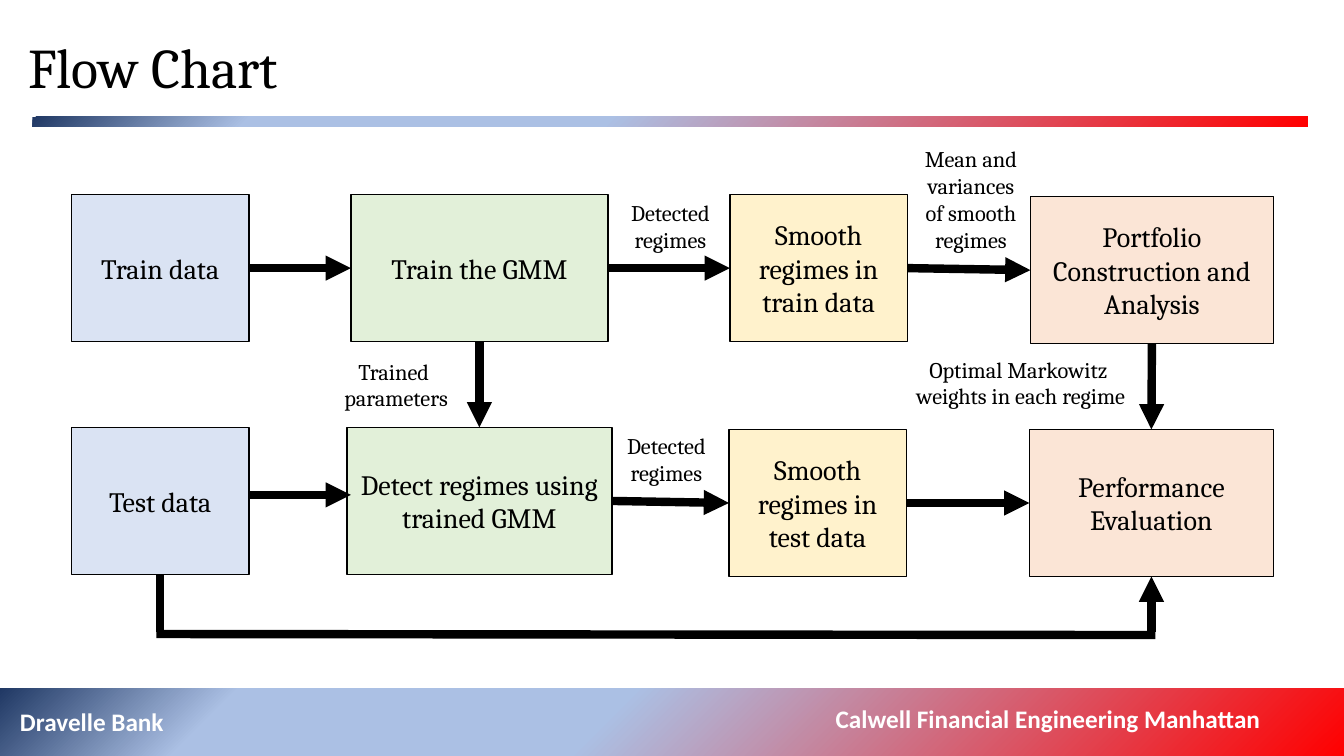
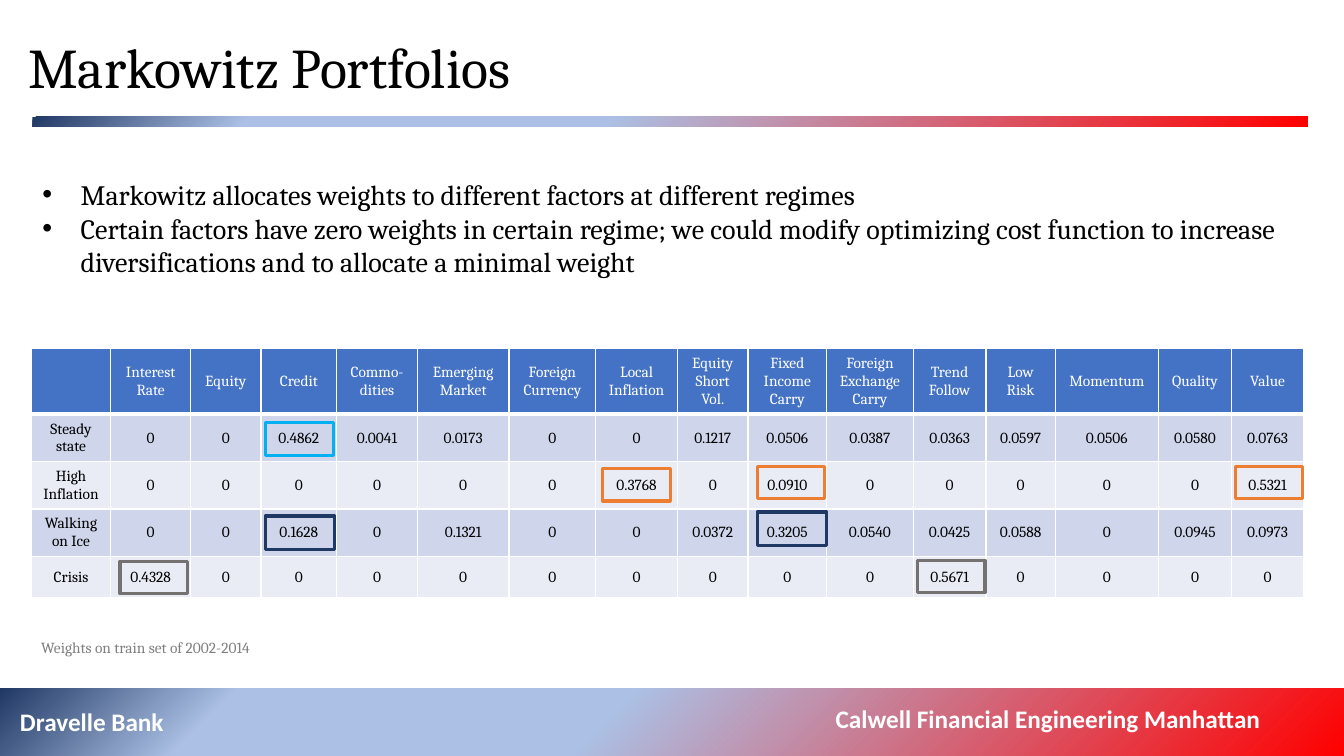
"""Build a flow chart slide and a portfolio weights slide with a shared frame."""
import dataclasses

import pptx
import pptx.dml.color
import pptx.enum.shapes
import pptx.enum.text
import pptx.oxml
import pptx.oxml.ns
import pptx.util
from lxml import etree

PX = 9144
ALIGN = pptx.enum.text.PP_ALIGN
qn = pptx.oxml.ns.qn


@dataclasses.dataclass(frozen=True)
class Theme:
    serif: str = "Cambria"
    sans: str = "Calibri"
    black: str = "000000"
    white: str = "FFFFFF"
    grey_text: str = "808080"
    blue_box: str = "DAE3F3"
    green_box: str = "E2F0D9"
    yellow_box: str = "FFF2CC"
    peach_box: str = "FBE5D6"
    header: str = "4472C4"
    stripes: tuple = ("E9EBF5", "CFD5EA")
    orange: str = "ED7D31"
    cyan: str = "00B0F0"
    navy: str = "203864"
    grey: str = "767171"
    band: tuple = ((0, "FF0000"), (55, "ABC0E4"), (83, "ABC0E4"), (100, "203864"))
    title_size: int = 40
    body_size: int = 20
    footer_size: int = 18
    label_size: int = 16
    small_size: int = 11


theme = Theme()


def write(frame, lines, size, colour=theme.black, align=ALIGN.LEFT, font=theme.serif, bold=False):
    for number, line in enumerate(lines):
        para = frame.add_paragraph() if number else frame.paragraphs[0]
        para.alignment = align
        para.space_before = pptx.util.Pt(0)
        span = para.add_run()
        span.text = line
        span.font.name = font
        span.font.size = pptx.util.Pt(size)
        span.font.bold = bold
        span.font.color.rgb = pptx.dml.color.RGBColor.from_string(colour)


def add_box(page, place, fill=None, line=None, width=1):
    box = page.shapes.add_shape(
        pptx.enum.shapes.MSO_SHAPE.RECTANGLE, *[value * PX for value in place]
    )
    box.shadow.inherit = False
    for paint, colour in ((box.fill, fill), (box.line.fill, line)):
        if colour:
            paint.solid()
            paint.fore_color.rgb = pptx.dml.color.RGBColor.from_string(colour)
        else:
            paint.background()
    if line:
        box.line.width = pptx.util.Pt(width)
    return box


deck = pptx.Presentation()
deck.slide_width = 1333 * PX
deck.slide_height = 750 * PX

stops = "".join(
    f'<a:gs pos="{position * 1000}"><a:srgbClr val="{colour}"/></a:gs>'
    for position, colour in theme.band
)
gradient = (
    f'<a:gradFill {pptx.oxml.ns.nsdecls("a")} rotWithShape="1"><a:gsLst>{stops}</a:gsLst>'
    '<a:path path="circle"><a:fillToRect l="100000" t="100000"/></a:path></a:gradFill>'
)

pages = []
for title, layout in (("Flow Chart", 5), ("Markowitz Portfolios", 1)):
    page = deck.slides.add_slide(deck.slide_layouts[layout])
    pages.append(page)
    heading = page.shapes.title
    heading.left, heading.top, heading.width, heading.height = (
        value * PX for value in (18, 27, 1297, 77)
    )
    heading.text_frame.vertical_anchor = pptx.enum.text.MSO_ANCHOR.TOP
    heading.text_frame.auto_size = pptx.enum.text.MSO_AUTO_SIZE.NONE
    write(heading.text_frame, [title], theme.title_size)
    for place in ((32, 116, 1265, 10), (0, 683, 1333, 67)):
        properties = add_box(page, place).element.spPr
        properties.replace(properties.find(qn("a:noFill")), pptx.oxml.parse_xml(gradient))
    for text, place in (
        ("Dravelle Bank", (10, 696, 176, 40)),
        ("Calwell Financial Engineering Manhattan", (819, 693, 444, 40)),
    ):
        footer = page.shapes.add_textbox(*[value * PX for value in place])
        footer.text_frame.word_wrap = False
        write(footer.text_frame, [text], theme.footer_size, theme.white, font=theme.sans, bold=True)

flow_page, weights_page = pages

steps = {}
for text, place, colour in (
    ("Train data", (71, 193, 176, 146), theme.blue_box),
    ("Test data", (71, 424, 176, 146), theme.blue_box),
    ("Train the GMM", (348, 193, 255, 146), theme.green_box),
    ("Detect regimes using trained GMM", (344, 424, 263, 146), theme.green_box),
    ("Smooth regimes in train data", (724, 193, 176, 146), theme.yellow_box),
    ("Smooth regimes in test data", (723, 426, 176, 146), theme.yellow_box),
    ("Portfolio Construction and Analysis", (1022, 195, 241, 146), theme.peach_box),
    ("Performance Evaluation", (1021, 426, 242, 146), theme.peach_box),
):
    steps[text] = add_box(flow_page, place, colour, theme.black)
    write(steps[text].text_frame, [text], theme.body_size, align=ALIGN.CENTER)

TOP, LEFT, BOTTOM, RIGHT = range(4)
for start, end, has_head in (
    (("Train data", RIGHT), ("Train the GMM", LEFT), True),
    (("Train the GMM", RIGHT), ("Smooth regimes in train data", LEFT), True),
    (("Smooth regimes in train data", RIGHT), ("Portfolio Construction and Analysis", LEFT), True),
    (("Train the GMM", BOTTOM), ("Detect regimes using trained GMM", TOP), True),
    (("Portfolio Construction and Analysis", BOTTOM), ("Performance Evaluation", TOP), True),
    ((247, 491), (348, 491), True),
    (("Detect regimes using trained GMM", RIGHT), ("Smooth regimes in test data", LEFT), True),
    (("Smooth regimes in test data", RIGHT), ("Performance Evaluation", LEFT), True),
    (("Test data", BOTTOM), (159, 627), False),
    ((155, 629), (1146, 630), False),
    ((1142, 627), ("Performance Evaluation", BOTTOM), True),
):
    points = [(0, 0) if isinstance(point[0], str) else point for point in (start, end)]
    connector = flow_page.shapes.add_connector(
        pptx.enum.shapes.MSO_CONNECTOR.STRAIGHT,
        *[value * PX for point in points for value in point],
    )
    for point, join in ((start, connector.begin_connect), (end, connector.end_connect)):
        if isinstance(point[0], str):
            join(steps[point[0]], point[1])
    connector.line.width = pptx.util.Pt(6)
    connector.line.color.rgb = pptx.dml.color.RGBColor.from_string(theme.black)
    properties = connector.element.spPr
    if has_head:
        etree.SubElement(properties.find(qn("a:ln")), qn("a:tailEnd"), type="triangle")
    etree.SubElement(properties, qn("a:effectLst"))

for lines, place in (
    (["Trained ", "parameters"], (328, 350, 130, 64)),
    (["Optimal Markowitz ", "weights in each regime"], (893, 348, 239, 64)),
    (["Detected regimes"], (607, 193, 116, 64)),
    (["Detected regimes"], (603, 424, 116, 64)),
    (["Mean and variances of smooth regimes"], (905, 139, 116, 118)),
):
    label = flow_page.shapes.add_textbox(*[value * PX for value in place])
    label.text_frame.word_wrap = len(lines) == 1
    write(label.text_frame, lines, theme.label_size, align=ALIGN.CENTER)

body = weights_page.placeholders[1]
body.left, body.top, body.width, body.height = (value * PX for value in (32, 171, 1283, 111))
body.text_frame.auto_size = pptx.enum.text.MSO_AUTO_SIZE.NONE
write(
    body.text_frame,
    [
        "Markowitz allocates weights to different factors at different regimes",
        "Certain factors have zero weights in certain regime; we could modify optimizing "
        "cost function to increase diversifications and to allocate a minimal weight",
    ],
    theme.body_size,
)
for para in body.text_frame.paragraphs:
    settings = para._p.get_or_add_pPr()
    settings.set("marL", str(38 * PX))
    settings.set("indent", str(-38 * PX))

note = weights_page.shapes.add_textbox(31 * PX, 628 * PX, 699 * PX, 29 * PX)
note.text_frame.word_wrap = True
write(note.text_frame, ["Weights on train set of 2002-2014"], theme.small_size, theme.grey_text)

weights = (
    ("", "Interest Rate", "Equity", "Credit", "Commo-dities", "Emerging Market",
     "Foreign Currency", "Local Inflation", "Equity Short Vol.", "Fixed Income Carry",
     "Foreign Exchange Carry", "Trend Follow", "Low Risk", "Momentum", "Quality", "Value"),
    ("Steady state", "0", "0", "0.4862", "0.0041", "0.0173", "0", "0", "0.1217", "0.0506",
     "0.0387", "0.0363", "0.0597", "0.0506", "0.0580", "0.0763"),
    ("High Inflation", "0", "0", "0", "0", "0", "0", "0.3768", "0", "0.0910",
     "0", "0", "0", "0", "0", "0.5321"),
    ("Walking on Ice", "0", "0", "0.1628", "0", "0.1321", "0", "0", "0.0372", "0.3205",
     "0.0540", "0.0425", "0.0588", "0", "0.0945", "0.0973"),
    ("Crisis", "0.4328", "0", "0", "0", "0", "0", "0", "0", "0",
     "0", "0.5671", "0", "0", "0", "0"),
)
widths = (79, 79, 70, 75, 80, 91, 86, 81, 70, 78, 86, 72, 69, 102, 73, 71)
heights = (64, 47, 47, 47, 41)
table = weights_page.shapes.add_table(
    len(heights), len(widths), 31 * PX, 346 * PX, sum(widths) * PX, sum(heights) * PX
).table
for column, width in zip(table.columns, widths):
    column.width = width * PX
for row, height in zip(table.rows, heights):
    row.height = height * PX
for row, values in enumerate(weights):
    for column, value in enumerate(values):
        cell = table.cell(row, column)
        cell.vertical_anchor = pptx.enum.text.MSO_ANCHOR.MIDDLE
        for side in "LRTB":
            heavy = (row, side) in ((0, "B"), (1, "T"))
            border = etree.SubElement(
                cell._tc.get_or_add_tcPr(), qn(f"a:ln{side}"), w=str(12700 * (3 if heavy else 1))
            )
            paint = etree.SubElement(border, qn("a:solidFill"))
            etree.SubElement(paint, qn("a:srgbClr"), val=theme.white)
        cell.fill.solid()
        cell.fill.fore_color.rgb = pptx.dml.color.RGBColor.from_string(
            theme.stripes[row % 2] if row else theme.header
        )
        if value:
            colour = theme.black if row else theme.white
            write(cell.text_frame, [value], theme.small_size, colour, ALIGN.CENTER)

for colour, size, corners in (
    (theme.orange, (67, 32), ((751, 463), (598, 465), (1225, 463))),
    (theme.cyan, (68, 33), ((263, 419),)),
    (theme.navy, (69, 33), ((263, 512), (751, 508))),
    (theme.grey, (67, 32), ((119, 557), (910, 556))),
):
    for corner in corners:
        add_box(weights_page, corner + size, line=colour, width=2.25)

deck.save("out.pptx")
